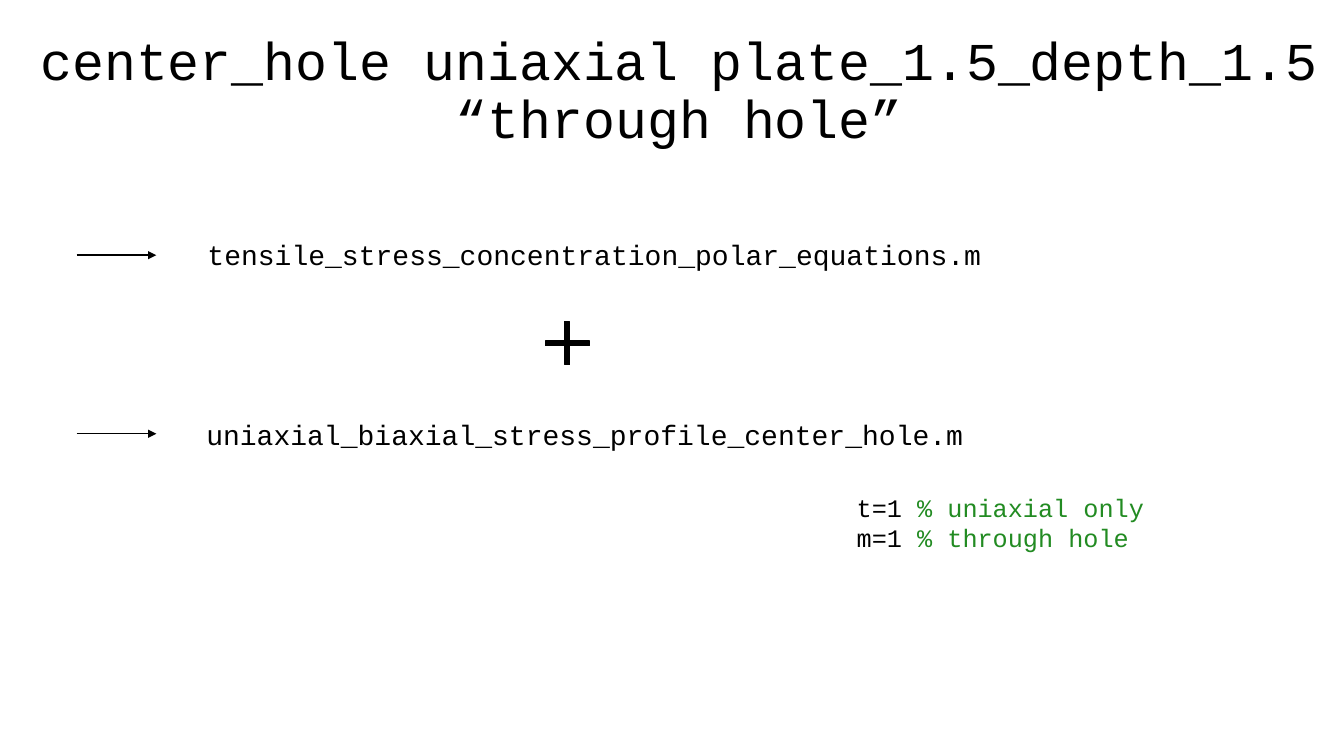
"""Build the slide that lists the scripts behind the through-hole plate case."""
from lxml import etree
from pptx import Presentation
from pptx.dml.color import RGBColor
from pptx.enum import shapes, text
from pptx.oxml.ns import qn
from pptx.util import Cm, Pt

FONT, BLACK, GREEN = "Courier New", "000000", "228B22"
TITLE = "center_hole uniaxial plate_1.5_depth_1.5 “through hole”"
SCRIPTS = [
    ("tensile_stress_concentration_polar_equations.m", 4.98, 5.87, 20.17, False),
    ("uniaxial_biaxial_stress_profile_center_hole.m", 4.95, 10.39, 21.06, True),
]
SETTINGS = [
    [("t=1 ", BLACK), ("% uniaxial only", GREEN)],
    [("m=1 ", BLACK), ("% through hole", GREEN)],
]
ARROW_LEFT, ARROW_RIGHT = 1.93, 3.94
ARROW_TOP, ARROW_STEP = 6.43, 4.5


def rgb(color):
    return RGBColor.from_string(color)


def add_run(p, content, size=20, color=BLACK):
    r = p.add_run()
    r.text = content
    r.font.name, r.font.size = FONT, Pt(size)
    r.font.color.rgb = rgb(color)


def add_text(s, lines, left, top, width, height, size=20, wrap=True):
    tf = s.shapes.add_textbox(Cm(left), Cm(top), Cm(width), Cm(height)).text_frame
    tf.word_wrap = wrap
    tf.auto_size = text.MSO_AUTO_SIZE.SHAPE_TO_FIT_TEXT
    for i, line in enumerate(lines):
        p = tf.add_paragraph() if i else tf.paragraphs[0]
        for content, color in line:
            add_run(p, content, size, color)


def add_title(s):
    sp = s.shapes.title
    sp.left, sp.top, sp.width, sp.height = Cm(0.38), Cm(0.48), Cm(33.48), Cm(3.68)
    tf = sp.text_frame
    tf.word_wrap = True
    tf.auto_size = text.MSO_AUTO_SIZE.NONE
    tf.vertical_anchor = text.MSO_ANCHOR.MIDDLE
    p = tf.paragraphs[0]
    p.alignment, p.line_spacing = text.PP_ALIGN.CENTER, 0.9
    add_run(p, TITLE, 38)


def add_arrow(s, y):
    line = s.shapes.add_connector(
        shapes.MSO_CONNECTOR.STRAIGHT, Cm(ARROW_LEFT), Cm(y), Cm(ARROW_RIGHT), Cm(y))
    line.line.color.rgb, line.line.width = rgb(BLACK), Pt(1)
    etree.SubElement(line.line._get_or_add_ln(), qn("a:tailEnd"), type="triangle")
    etree.SubElement(line._element.spPr, qn("a:effectLst"))


def add_plus(s):
    sp = s.shapes.add_shape(
        shapes.MSO_SHAPE.MATH_PLUS, Cm(13.54), Cm(7.92), Cm(1.52), Cm(1.47))
    sp.adjustments[0] = 0.082
    sp.shadow.inherit = False
    sp.fill.solid()
    sp.fill.fore_color.rgb = rgb(BLACK)
    sp.line.color.rgb, sp.line.width = rgb(BLACK), Pt(0.75)


def main():
    prs = Presentation()
    prs.slide_width, prs.slide_height = Cm(33.87), Cm(19.05)
    s = prs.slides.add_slide(prs.slide_layouts[5])
    add_title(s)
    for i, (name, left, top, width, wrap) in enumerate(SCRIPTS):
        add_arrow(s, ARROW_TOP + i * ARROW_STEP)
        add_text(s, [[(name, BLACK)]], left, top, width, 1.12, wrap=wrap)
    add_plus(s)
    add_text(s, SETTINGS, 21.34, 12.27, 9.35, 1.8, size=18)
    prs.save("out.pptx")


if __name__ == "__main__":
    main()
